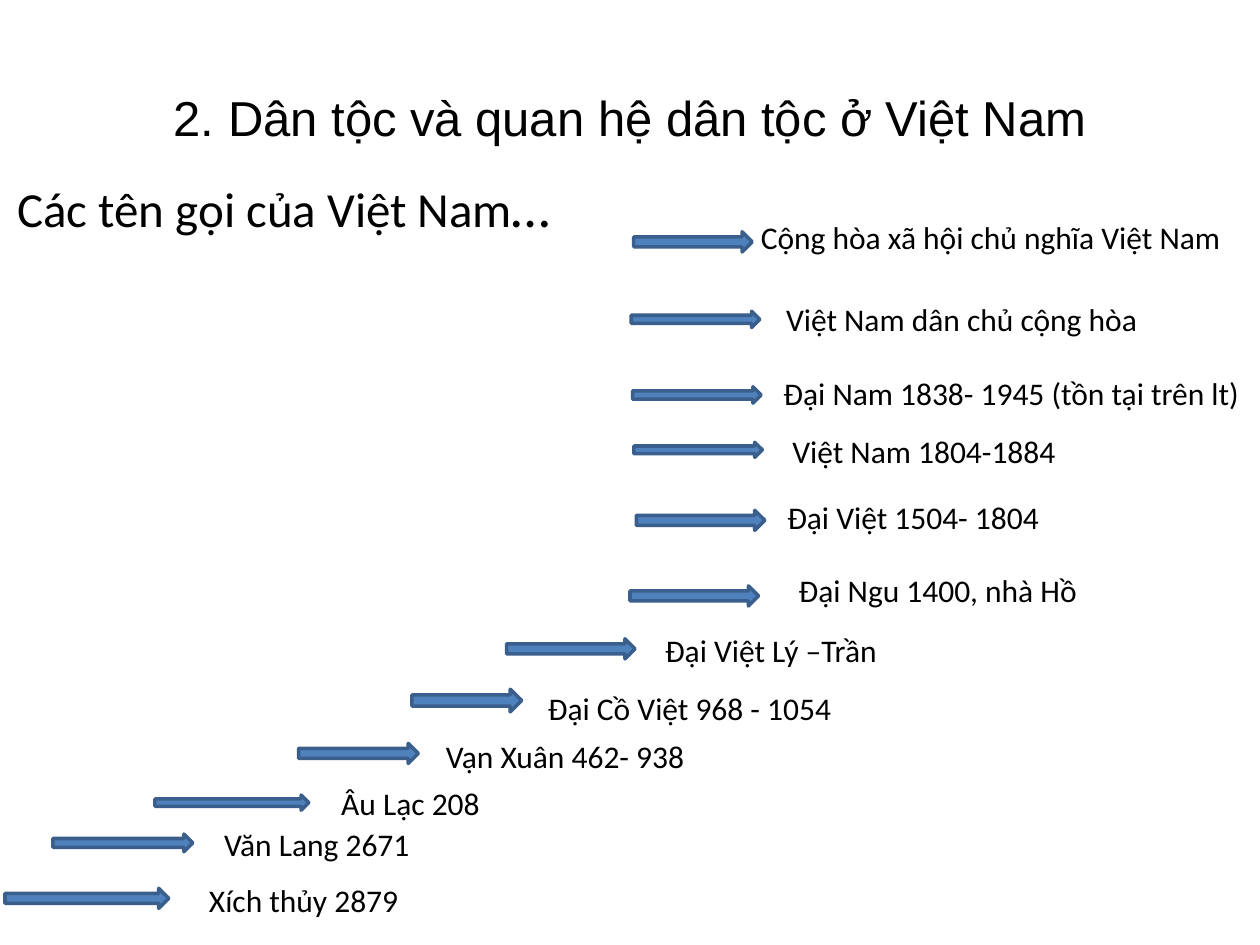
"""Build a slide that lists the historical names of Vietnam as a rising stair of arrows."""
from pptx import Presentation
from pptx import util as u
from pptx.dml.color import RGBColor
from pptx.enum import shapes, text

THEME = {
    "ink": RGBColor.from_string("000000"),
    "fill": RGBColor.from_string("4F81BD"),
    "edge": RGBColor.from_string("3A5F8C"),
    "head": "Arial", "body": "Calibri",
    "big": 28, "dots": 32, "small": 18, "line": 2,
}
WIDE, HIGH = 10, 7.5
ROW = 0.4

deck = Presentation()
deck.slide_width, deck.slide_height = u.Inches(WIDE), u.Inches(HIGH)
slide = deck.slides.add_slide(deck.slide_layouts[6])


def write(box, runs, font, frame={}, align=text.PP_ALIGN.LEFT):
    area = slide.shapes.add_textbox(*map(u.Inches, box)).text_frame
    for key, value in {"word_wrap": True, **frame}.items():
        setattr(area, key, value)
    para = area.paragraphs[0]
    para.alignment = align
    for words, size in runs:
        run = para.add_run()
        run.text = words
        for key, value in {"name": THEME[font], "size": u.Pt(THEME[size])}.items():
            setattr(run.font, key, value)
        run.font.color.rgb = THEME["ink"]


write((0.05 * WIDE, 0.04 * HIGH, 0.9 * WIDE, HIGH / 6),
      [("2. Dân tộc và quan hệ dân tộc ở Việt Nam", "big")], "head",
      {"vertical_anchor": text.MSO_ANCHOR.MIDDLE}, text.PP_ALIGN.CENTER)
write((0.04, 1.31, WIDE - 0.04, HIGH - 1.31),
      [("Các tên gọi của Việt Nam", "big"), ("…", "dots")], "body")

names = [
    ("Cộng hòa xã hội chủ nghĩa Việt Nam", (5.94, 1.68, 4.04), (5.03, 1.84, 0.94, 0.16)),
    ("Việt Nam dân chủ cộng hòa", (6.14, 2.33, 3.27), (5.01, 2.47, 1.02, 0.13)),
    ("Đại Nam 1838- 1945 (tồn tại trên lt)", (6.12, 2.92, 3.87), (5.02, 3.07, 1.02, 0.13)),
    ("Việt Nam 1804-1884", (6.19, 3.38, 2.64), (5.03, 3.51, 1.02, 0.12)),
    ("Đại Việt 1504- 1804", (6.15, 3.9, 2.57), (5.05, 4.05, 1.02, 0.16)),
    ("Đại Ngu 1400, nhà Hồ", (6.24, 4.48, 2.85), (5, 4.65, 1.02, 0.16)),
    ("Đại Việt Lý –Trần", (5.18, 4.96, 1.94), (4.02, 5.07, 1.02, 0.16)),
    ("Đại Cồ Việt 968 - 1054", (4.25, 5.42, 2.63), (3.27, 5.47, 0.87, 0.18)),
    ("Vạn Xuân 462- 938", (3.44, 5.8, 2.33), (2.37, 5.9, 0.95, 0.16)),
    ("Âu Lạc 208", (2.61, 6.17, 1.44), (1.23, 6.31, 1.22, 0.12)),
    ("Văn Lang 2671", (1.68, 6.5, 2.02), (0.42, 6.62, 1.11, 0.14)),
    ("Xích thủy 2879", (1.56, 6.94, 1.78), (0.04, 7.05, 1.3, 0.16)),
]
for name, place, span in names:
    arrow = slide.shapes.add_shape(shapes.MSO_SHAPE.RIGHT_ARROW, *map(u.Inches, span))
    arrow.shadow.inherit = False
    arrow.fill.solid()
    arrow.fill.fore_color.rgb = THEME["fill"]
    arrow.line.color.rgb = THEME["edge"]
    arrow.line.width = u.Pt(THEME["line"])
    write((*place, ROW), [(name, "small")], "body",
          {"auto_size": text.MSO_AUTO_SIZE.SHAPE_TO_FIT_TEXT})

deck.save("out.pptx")
